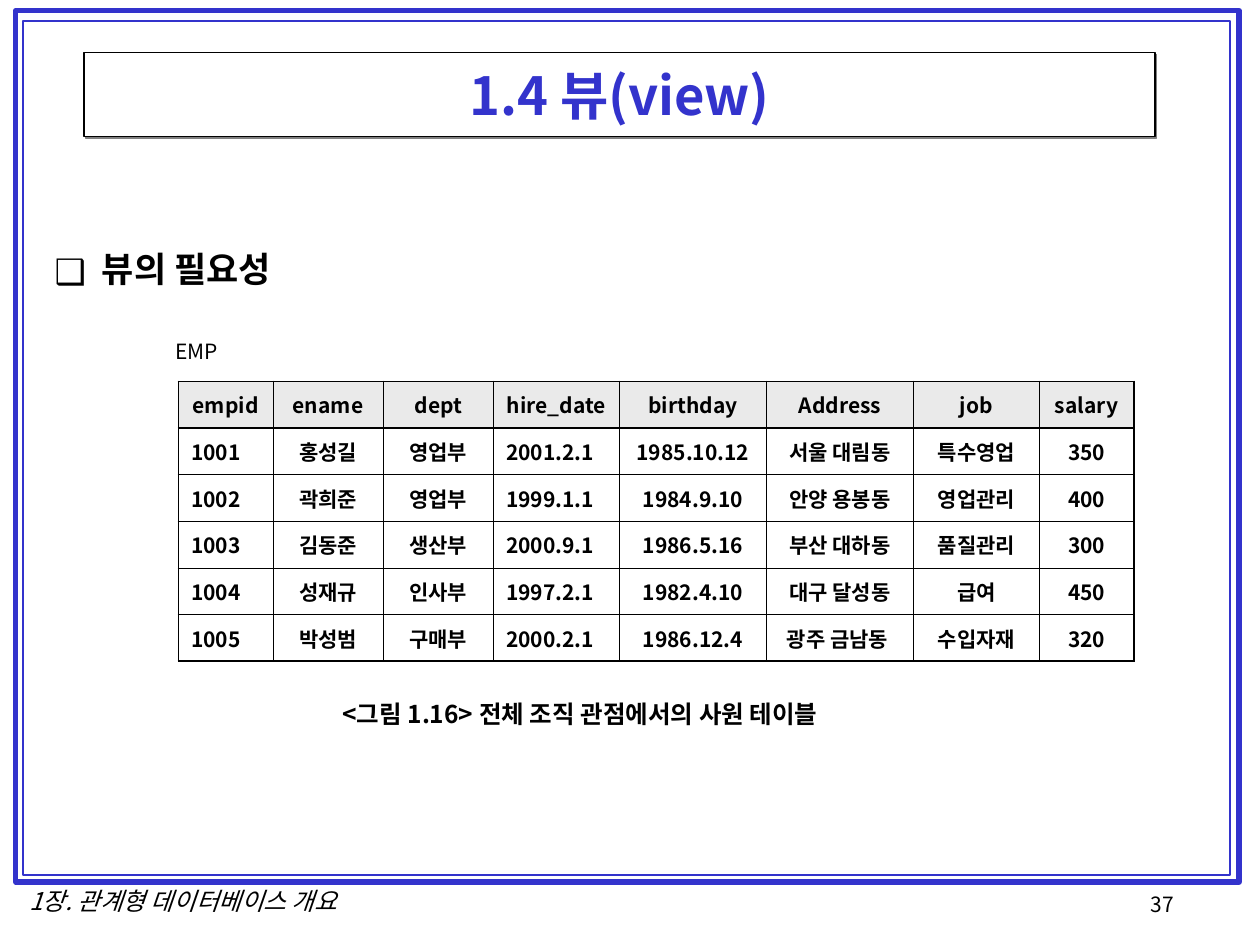
from dataclasses import dataclass
from typing import NamedTuple

from lxml.etree import SubElement
from pptx import Presentation
from pptx.dml.color import RGBColor as RGB
from pptx.enum.shapes import MSO_SHAPE as Preset
from pptx.enum.text import MSO_ANCHOR as Anchor, MSO_AUTO_SIZE as AutoSize, PP_ALIGN as Align
from pptx.oxml.ns import qn
from pptx.util import Pt


@dataclass(frozen=True)
class Theme:
    font: str = "Noto Sans CJK KR"
    ink: str = "000000"
    accent: str = "3333CC"
    paper: str = "FFFFFF"
    header: str = "EAEAEA"
    shadow: str = "808080"
    title_size: float = 30
    topic_size: float = 20
    note_size: float = 14
    table_size: float = 12
    thin: float = 0.45
    thick: float = 1.08


class Box(NamedTuple):
    left: float
    top: float
    width: float
    height: float

    def points(self):
        return [Pt(length) for length in self]

    def inset(self, left, top, right, bottom):
        return Box(self.left + left, self.top + top,
                   self.width - left - right, self.height - top - bottom)


THEME = Theme()
COLUMNS = [54, 63, 63, 72, 84, 84, 72, 54]
LEFT_COLUMNS = {0, 3}
EMPLOYEES = [
    ["empid", "ename", "dept", "hire_date", "birthday", "Address", "job", "salary"],
    ["1001", "홍성길", "영업부", "2001.2.1", "1985.10.12", "서울 대림동", "특수영업", "350"],
    ["1002", "곽희준", "영업부", "1999.1.1", "1984.9.10", "안양 용봉동", "영업관리", "400"],
    ["1003", "김동준", "생산부", "2000.9.1", "1986.5.16", "부산 대하동", "품질관리", "300"],
    ["1004", "성재규", "인사부", "1997.2.1", "1982.4.10", "대구 달성동", "급여", "450"],
    ["1005", "박성범", "구매부", "2000.2.1", "1986.12.4", "광주 금남동 ", "수입자재", "320"],
]


def write(frame, text, size, color=THEME.ink, bold=False, italic=False,
          align=Align.LEFT, before=0):
    paragraph = frame.paragraphs[0]
    paragraph.alignment = align
    paragraph.space_before = Pt(before)
    run = paragraph.add_run()
    run.text = text
    font = run.font
    font.size, font.bold, font.italic = Pt(size), bold, italic
    font.color.rgb = RGB.from_string(color)
    font.name = THEME.font
    SubElement(run._r.get_or_add_rPr(), qn("a:ea"), typeface=THEME.font)
    return paragraph


def place(shape, box):
    shape.left, shape.top, shape.width, shape.height = box.points()


def outline(shape, color, width):
    shape.line.color.rgb = RGB.from_string(color)
    shape.line.width = Pt(width)


def add_label(slide, box, text, size, wrap=False, **style):
    frame = slide.shapes.add_textbox(*box.points()).text_frame
    frame.word_wrap = wrap
    write(frame, text, size, **style)


def add_frame(slide, box):
    for border, width in ((box, 3), (box.inset(4, 6, 5, 4), 1)):
        edge = slide.shapes.add_shape(Preset.RECTANGLE, *border.points())
        edge.shadow.inherit = False
        edge.fill.background()
        outline(edge, THEME.accent, width)


def add_footer(slide, box):
    add_label(slide, Box(box.left, box.top, 202.5, box.height),
              "1장. 관계형 데이터베이스 개요", THEME.note_size,
              italic=True, align=Align.CENTER)
    add_label(slide, Box(box.left + box.width - 73.5, box.top + 3, 73.5, box.height),
              "37", THEME.table_size)


def fill_title(slide, box):
    title = slide.shapes.title
    place(title, box)
    title.fill.solid()
    title.fill.fore_color.rgb = RGB.from_string(THEME.paper)
    outline(title, THEME.ink, 0.75)
    title.shadow.inherit = False
    effects = title._element.spPr.find(qn("a:effectLst"))
    shadow = SubElement(effects, qn("a:outerShdw"), dist=str(Pt(1.4)),
                        dir="2700000", algn="ctr", rotWithShape="0")
    SubElement(shadow, qn("a:srgbClr"), val=THEME.shadow)
    frame = title.text_frame
    frame.auto_size = AutoSize.NONE
    frame.vertical_anchor = Anchor.MIDDLE
    write(frame, "1.4 뷰(view)", THEME.title_size, color=THEME.accent,
          bold=True, align=Align.CENTER)


def fill_topic(slide, box):
    topic = slide.placeholders[1]
    place(topic, box)
    topic.text_frame.auto_size = AutoSize.NONE
    paragraph = write(topic.text_frame, "뷰의 필요성", THEME.topic_size,
                      bold=True, before=5)
    bullet = paragraph._p.get_or_add_pPr()
    bullet.set("marL", str(Pt(27)))
    bullet.set("indent", str(-Pt(27)))
    color = SubElement(bullet, qn("a:buClr"))
    SubElement(color, qn("a:srgbClr"), val=THEME.ink)
    SubElement(bullet, qn("a:buFont"), typeface=THEME.font)
    SubElement(bullet, qn("a:buChar"), char="❑")


def draw_borders(cell, **thick_sides):
    for side in "LRTB":
        width = THEME.thick if thick_sides[side] else THEME.thin
        line = SubElement(cell._tc.get_or_add_tcPr(), qn(f"a:ln{side}"), w=str(Pt(width)))
        SubElement(SubElement(line, qn("a:solidFill")), qn("a:srgbClr"), val=THEME.ink)


def add_employee_table(slide, box):
    last_row, last_column = len(EMPLOYEES) - 1, len(COLUMNS) - 1
    table = slide.shapes.add_table(len(EMPLOYEES), len(COLUMNS), *box.points()).table
    table.first_row = table.horz_banding = False
    for column, width in zip(table.columns, COLUMNS):
        column.width = Pt(width)
    for r, employee in enumerate(EMPLOYEES):
        table.rows[r].height = Pt(box.height / len(EMPLOYEES))
        for c, value in enumerate(employee):
            cell = table.cell(r, c)
            cell.vertical_anchor = Anchor.MIDDLE
            draw_borders(cell, L=c == 0, R=c == last_column,
                         T=r <= 1, B=r in (0, last_row))
            if r == 0:
                cell.fill.solid()
                cell.fill.fore_color.rgb = RGB.from_string(THEME.header)
            else:
                cell.fill.background()
            align = Align.LEFT if r and c in LEFT_COLUMNS else Align.CENTER
            write(cell.text_frame, value, THEME.table_size, bold=True,
                  align=align, before=3)


def add_employee_figure(slide, box):
    add_label(slide, Box(box.left, box.top, 39, 21.5), "EMP", THEME.table_size)
    add_employee_table(slide, Box(box.left + 9, box.top + 28, sum(COLUMNS), 160))
    add_label(slide, Box(box.left + 95.5, box.top + 206, 298, 24.5),
              "<그림 1.16> 전체 조직 관점에서의 사원 테이블",
              THEME.note_size, wrap=True, bold=True)


def main():
    deck = Presentation()
    deck.slide_width, deck.slide_height = Pt(720), Pt(540)
    slide = deck.slides.add_slide(deck.slide_layouts[1])
    add_frame(slide, Box(9, 6, 699, 498))
    add_footer(slide, Box(3.5, 503, 720.5, 24))
    fill_title(slide, Box(48, 30, 612, 48))
    fill_topic(slide, Box(24, 138, 672, 348))
    add_employee_figure(slide, Box(93, 190, 555, 230.5))
    deck.save("out.pptx")


if __name__ == "__main__":
    main()
